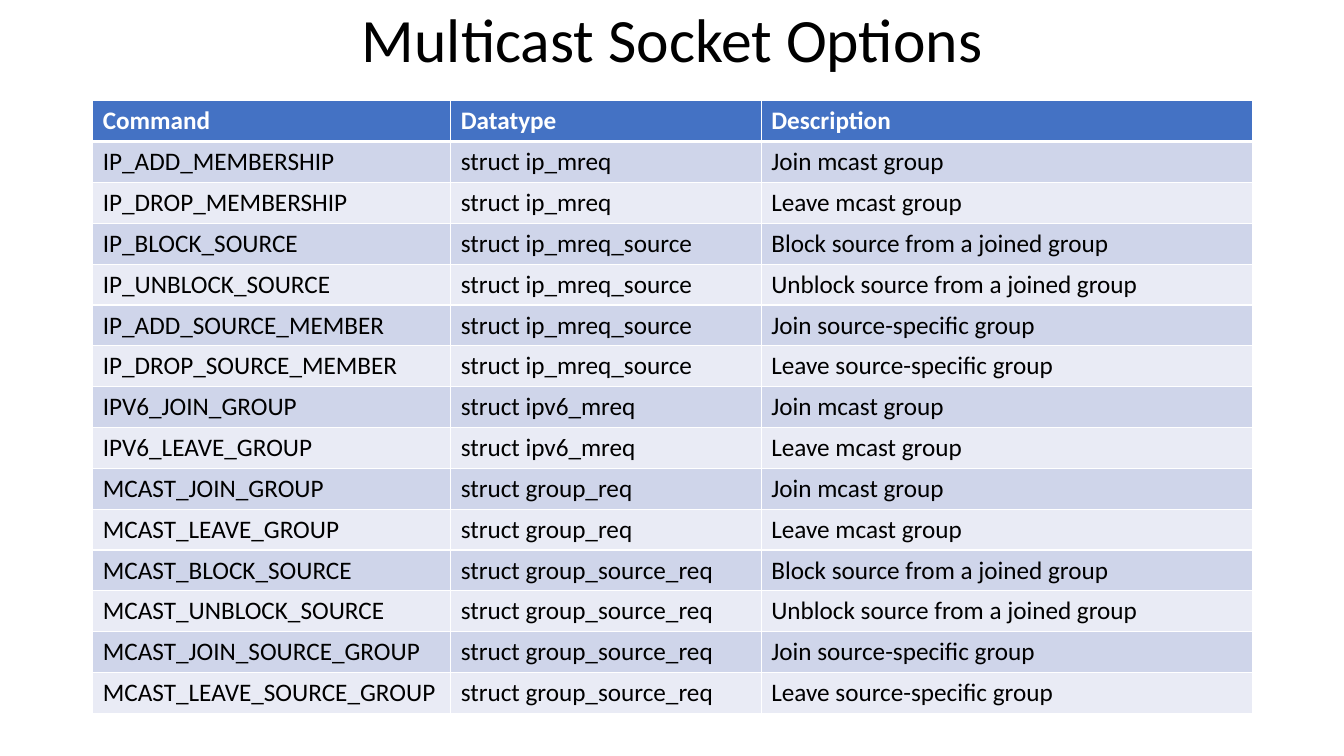
from typing import NamedTuple

from lxml import etree
from pptx import Presentation
from pptx import util as u
from pptx.dml import color
from pptx.enum import text
from pptx.oxml import ns

SLIDE_WIDTH, SLIDE_HEIGHT = u.Inches(13.33), u.Inches(7.5)
LEFT, CONTENT_WIDTH = u.Inches(0.92), u.Inches(11.5)
TITLE_HEIGHT = u.Inches(0.84)
TABLE_TOP, TABLE_HEIGHT = u.Inches(1), u.Inches(6.08)
COLUMN_WIDTHS = (3.55, 3.08, 4.87)
FONT = "Calibri"
COLORS = {
    "black": "000000",
    "white": "FFFFFF",
    "header": "4472C4",
    "odd": "CFD5EA",
    "even": "E9EBF5",
}


class Option(NamedTuple):
    """One row of the socket option table."""

    command: str
    datatype: str
    description: str


HEADER = Option("Command", "Datatype", "Description")
OPTIONS = [
    Option("IP_ADD_MEMBERSHIP", "struct ip_mreq", "Join mcast group"),
    Option("IP_DROP_MEMBERSHIP", "struct ip_mreq", "Leave mcast group"),
    Option("IP_BLOCK_SOURCE", "struct ip_mreq_source", "Block source from a joined group"),
    Option("IP_UNBLOCK_SOURCE", "struct ip_mreq_source", "Unblock source from a joined group"),
    Option("IP_ADD_SOURCE_MEMBER", "struct ip_mreq_source", "Join source-specific group"),
    Option("IP_DROP_SOURCE_MEMBER", "struct ip_mreq_source", "Leave source-specific group"),
    Option("IPV6_JOIN_GROUP", "struct ipv6_mreq", "Join mcast group"),
    Option("IPV6_LEAVE_GROUP", "struct ipv6_mreq", "Leave mcast group"),
    Option("MCAST_JOIN_GROUP", "struct group_req", "Join mcast group"),
    Option("MCAST_LEAVE_GROUP", "struct group_req", "Leave mcast group"),
    Option("MCAST_BLOCK_SOURCE", "struct group_source_req", "Block source from a joined group"),
    Option("MCAST_UNBLOCK_SOURCE", "struct group_source_req", "Unblock source from a joined group"),
    Option("MCAST_JOIN_SOURCE_GROUP", "struct group_source_req", "Join source-specific group"),
    Option("MCAST_LEAVE_SOURCE_GROUP", "struct group_source_req", "Leave source-specific group"),
]


def style_font(para, size: float, color_name: str, bold: bool = False) -> None:
    """Format every run of a paragraph."""
    for span in para.runs:
        span.font.name = FONT
        span.font.size = u.Pt(size)
        span.font.bold = bold
        span.font.color.rgb = color.RGBColor.from_string(COLORS[color_name])


def add_title(page, wording: str) -> None:
    """Add the centred slide title."""
    box = page.shapes.add_textbox(LEFT, 0, CONTENT_WIDTH, TITLE_HEIGHT)
    frame = box.text_frame
    frame.word_wrap = True
    frame.vertical_anchor = text.MSO_ANCHOR.MIDDLE
    frame.text = wording
    para = frame.paragraphs[0]
    para.alignment = text.PP_ALIGN.CENTER
    para.line_spacing = 0.9
    style_font(para, 44, "black")


def set_borders(cell, widths: dict[str, float]) -> None:
    """Draw white borders, with a width in points for each side."""
    properties = cell._tc.get_or_add_tcPr()
    for side, width in widths.items():
        line = etree.SubElement(properties, ns.qn(f"a:ln{side}"), w=str(u.Pt(width)))
        fill = etree.SubElement(line, ns.qn("a:solidFill"))
        etree.SubElement(fill, ns.qn("a:srgbClr"), val=COLORS["white"])


def fill_row(cells, option: Option, index: int) -> None:
    """Write one option and apply the header or band style."""
    is_header = index == 0
    fill_name = "header" if is_header else ("even", "odd")[index % 2]
    widths = {"L": 1, "R": 1, "T": 3 if index == 1 else 1, "B": 3 if is_header else 1}
    for cell, wording in zip(cells, option):
        set_borders(cell, widths)
        cell.fill.solid()
        cell.fill.fore_color.rgb = color.RGBColor.from_string(COLORS[fill_name])
        cell.text_frame.text = wording
        style_font(cell.text_frame.paragraphs[0], 18, "white" if is_header else "black", is_header)


def add_options(page) -> None:
    """Add the table of socket options."""
    rows = [HEADER, *OPTIONS]
    frame = page.shapes.add_table(
        len(rows), len(HEADER), LEFT, TABLE_TOP, CONTENT_WIDTH, TABLE_HEIGHT
    )
    table = frame.table
    for column, width in zip(table.columns, COLUMN_WIDTHS):
        column.width = u.Inches(width)
    for index, (row, option) in enumerate(zip(table.rows, rows)):
        fill_row(row.cells, option, index)


def main() -> None:
    """Build and save the slide."""
    deck = Presentation()
    deck.slide_width, deck.slide_height = SLIDE_WIDTH, SLIDE_HEIGHT
    page = deck.slides.add_slide(deck.slide_layouts[6])
    add_title(page, "Multicast Socket Options")
    add_options(page)
    deck.save("out.pptx")


if __name__ == "__main__":
    main()
